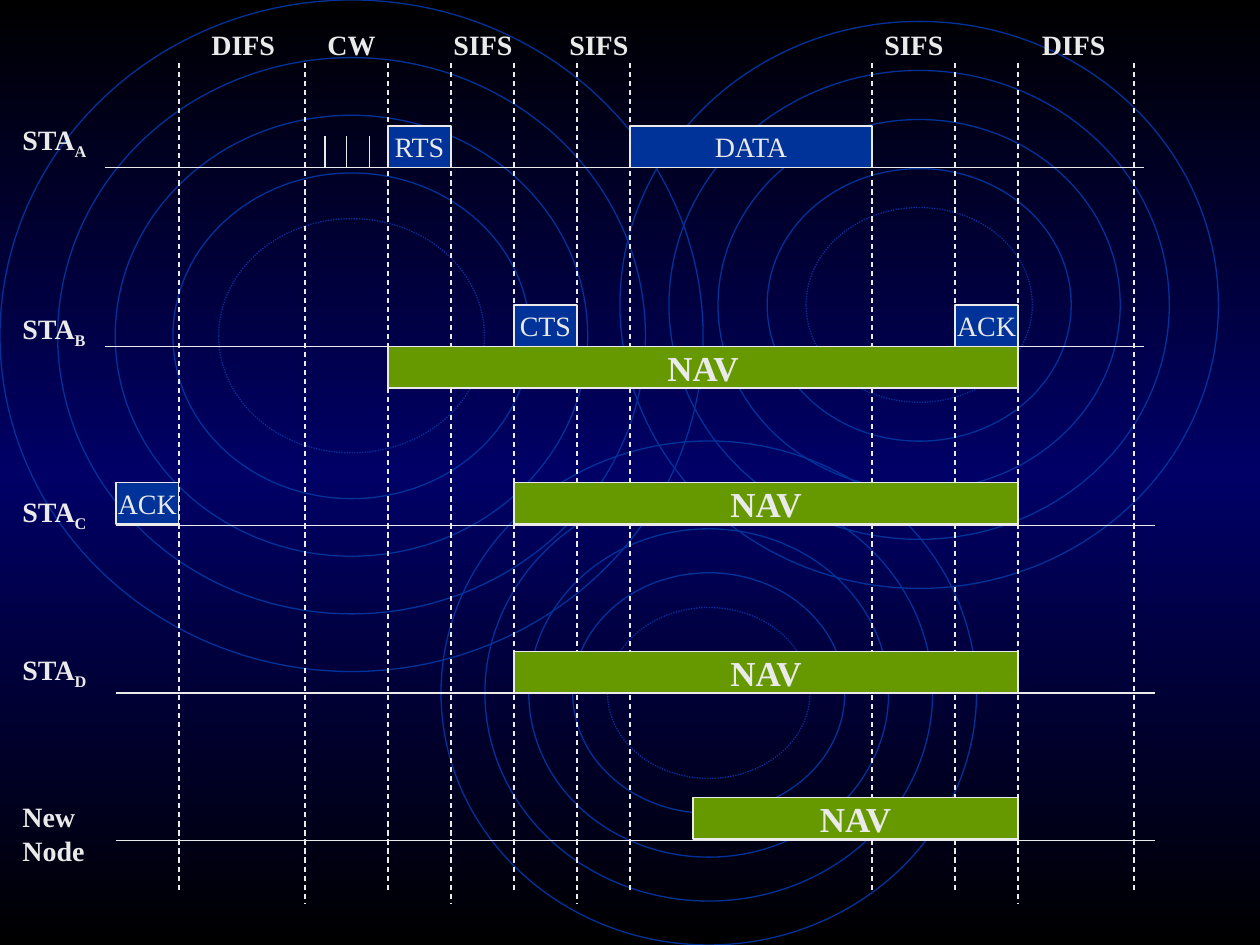
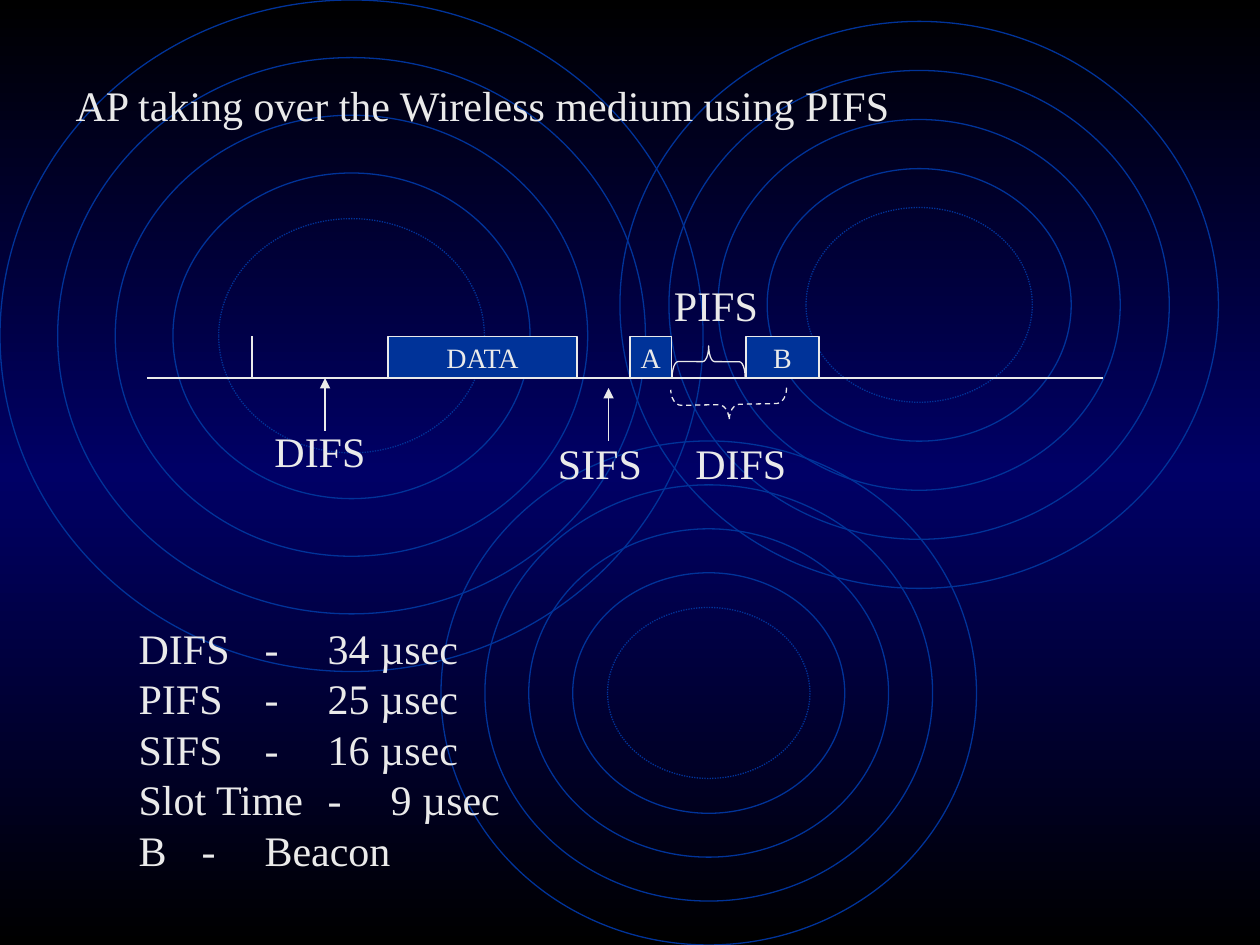
import copy

import pptx
import pptx.dml.color
import pptx.enum.dml
import pptx.enum.shapes
import pptx.enum.text
import pptx.oxml.ns
import pptx.util
from lxml import etree

RGBColor = pptx.dml.color.RGBColor
Inches = pptx.util.Inches
Pt = pptx.util.Pt
qn = pptx.oxml.ns.qn
SHAPE = pptx.enum.shapes.MSO_SHAPE
DASH = pptx.enum.dml.MSO_LINE.DASH
DOTS = pptx.enum.dml.MSO_LINE.ROUND_DOT
ALIGN = pptx.enum.text.PP_ALIGN
ANCHOR = pptx.enum.text.MSO_ANCHOR

BLACK = RGBColor(0x00, 0x00, 0x00)
NAVY = RGBColor(0x00, 0x00, 0x66)
BLUE = RGBColor(0x00, 0x33, 0x99)
GREEN = RGBColor(0x66, 0x99, 0x00)
PALE = RGBColor(0xEA, 0xEA, 0xEA)

FRAME_TEXT = {"name": "Times New Roman", "size": Pt(16), "bold": False}
LABEL_TEXT = {"name": "Times New Roman", "size": Pt(16), "bold": True}
NAV_TEXT = {"name": "Times New Roman", "size": Pt(20), "bold": True}
LARGE_TEXT = {"name": "Times New Roman", "size": Pt(24), "bold": False}

BACKGROUND_STOPS = [(0, BLACK), (0.5, NAVY), (1, BLACK)]
RING_SETS = [(0, 0, 5.58, 5.33), (3.5, 3.5, 4.25, 4), (4.92, 0.17, 4.75, 4.5)]
RING_INSETS = [0, 0.082, 0.164, 0.246, 0.311]

FRAME_HEIGHT = 0.33
STATIONS = [
    ("STA", "A", 0.92, 0.83, 1.33),
    ("STA", "B", 2.42, 0.83, 2.75),
    ("STA", "C", 3.88, 0.92, 4.17),
    ("STA", "D", 5.13, 0.92, 5.5),
    ("New Node", "", 6.3, 0.92, 6.67),
]
BASELINE_LENGTH = 8.25
INTERVALS = [("DIFS", 1.58), ("CW", 2.5), ("SIFS", 3.5), ("SIFS", 4.42),
             ("SIFS", 6.92), ("DIFS", 8.17)]
INSTANTS = [1.42, 2.42, 3.08, 3.58, 4.08, 4.58, 5, 6.92, 7.58, 8.08, 9]
LONG_INSTANTS = [2.42, 3.58, 4.58, 8.08]
BACKOFF_SLOTS = [2.58, 2.75, 2.93]
FRAMES = [("RTS", 3.08, 3.58, 1), ("CTS", 4.08, 4.58, 2.42),
          ("DATA", 5, 6.92, 1), ("ACK", 7.58, 8.08, 2.42),
          ("ACK", 0.92, 1.42, 3.83)]
NAV_END = 8.08
NAV_PERIODS = [(4.08, 3.83), (4.08, 5.17), (3.08, 2.75), (5.5, 6.33)]

TITLE = "AP taking over the Wireless medium using PIFS"
MEDIUM_TOP, MEDIUM_LINE = 2.67, 3
MEDIUM_FRAMES = [("DATA", 3.08, 4.58), ("A", 5, 5.33), ("B", 5.92, 6.5)]
SPACINGS = [("DIFS", 2.08, 3.33), ("SIFS", 4.33, 3.42),
            ("DIFS", 5.42, 3.42), ("PIFS", 5.25, 2.17)]
POINTERS = [(2.58, 3.42, 3), (4.83, 3.5, 3.08)]
BRACES = [(5.66, 2.75, 0.92, 88.9, 0.33, DASH), (5.5, 2.58, 0.58, 270.1, 0.19, None)]
DURATIONS = [
    ("DIFS", "34 µsec", 0.89, 1.58),
    ("PIFS", "25 µsec", 0.83, 1.61),
    ("SIFS", "16 µsec", 0.83, 1.61),
    ("Slot Time", "9 µsec", 1.39, 1.66),
    ("B", "Beacon", 0.89, 1.66),
]


def set_all(target, values):
    for name, value in values.items():
        setattr(target, name, value)


def add_span(para, text, style):
    span = para.add_run()
    span.text = text
    set_all(span.font, style)
    span.font.color.rgb = PALE
    return span


def set_line(shape, color, dash=None):
    shape.line.color.rgb = color
    shape.line.width = Pt(0.75)
    if dash:
        shape.line.dash_style = dash


def add_line(page, x1, y1, x2, y2, dash=None, arrow=False):
    line = page.shapes.add_connector(
        pptx.enum.shapes.MSO_CONNECTOR.STRAIGHT, *map(Inches, (x1, y1, x2, y2)))
    set_line(line, PALE, dash)
    properties = line.element.spPr
    if arrow:
        etree.SubElement(properties.find(qn("a:ln")), qn("a:tailEnd"), type="triangle")
    etree.SubElement(properties, qn("a:effectLst"))


def add_frame(page, text, start, end, top, fill=BLUE, style=FRAME_TEXT):
    box = page.shapes.add_shape(
        SHAPE.RECTANGLE, *map(Inches, (start, top, end - start, FRAME_HEIGHT)))
    box.shadow.inherit = False
    box.fill.solid()
    box.fill.fore_color.rgb = fill
    set_line(box, PALE)
    set_all(box.text_frame, {"word_wrap": False, "vertical_anchor": ANCHOR.MIDDLE})
    para = box.text_frame.paragraphs[0]
    para.alignment = ALIGN.CENTER
    add_span(para, text, style)


def add_label(page, text, left, top, width=0.75, height=0.37, style=LABEL_TEXT):
    box = page.shapes.add_textbox(*map(Inches, (left, top, width, height)))
    box.text_frame.word_wrap = True
    para = box.text_frame.paragraphs[0]
    add_span(para, text, style)
    return para


def place(placeholder, left, top, width, height):
    set_all(placeholder, {"left": Inches(left), "top": Inches(top),
                          "width": Inches(width), "height": Inches(height)})
    set_all(placeholder.text_frame, {
        "word_wrap": True, "vertical_anchor": ANCHOR.TOP,
        "auto_size": pptx.enum.text.MSO_AUTO_SIZE.NONE})
    return placeholder.text_frame


def style_master(master, page):
    fill = master.background.fill
    fill.gradient()
    stop_list = master.element.find(".//" + qn("a:gsLst"))
    stop_list.append(copy.deepcopy(stop_list[0]))
    for stop, (position, color) in zip(fill.gradient_stops, BACKGROUND_STOPS):
        stop.position = position
        stop.color.rgb = color
    fill.gradient_angle = 270

    rings = page.shapes.add_group_shape()
    for left, top, width, height in RING_SETS:
        for ratio in RING_INSETS:
            inset = width * ratio
            ring = rings.shapes.add_shape(SHAPE.OVAL, *map(Inches, (
                left + inset, top + inset, width - 2 * inset, height - 2 * inset)))
            ring.shadow.inherit = False
            ring.fill.background()
            set_line(ring, BLUE, DOTS if ratio == RING_INSETS[-1] else None)
    for number, item in enumerate(rings.element.iter(qn("p:cNvPr")), 100):
        item.set("id", str(number))
    master.shapes.element.insert(2, rings.element)


def build_timeline(page):
    for name, subscript, label_top, start, y in STATIONS:
        add_line(page, start, y, start + BASELINE_LENGTH, y)
        para = add_label(page, name, 0.08, label_top)
        if subscript:
            span = add_span(para, subscript, LABEL_TEXT)
            span.font._element.set("baseline", "-25000")
    for frame in FRAMES:
        add_frame(page, *frame)
    for x in INSTANTS:
        add_line(page, x, 0.5, x, 7.17 if x in LONG_INSTANTS else 7.08, DASH)
    for x in BACKOFF_SLOTS:
        add_line(page, x, 1.33, x, 1.08)
    for start, top in NAV_PERIODS:
        add_frame(page, "NAV", start, NAV_END, top, GREEN, NAV_TEXT)
    for name, left in INTERVALS:
        add_label(page, name, left, 0.17)


def build_takeover(page):
    para = place(page.shapes.title, 0.5, 0.58, 7.5, 0.5).paragraphs[0]
    para.alignment = ALIGN.LEFT
    add_span(para, TITLE, LARGE_TEXT)

    for text, start, end in MEDIUM_FRAMES:
        add_frame(page, text, start, end, MEDIUM_TOP)
    add_line(page, 2, MEDIUM_LINE, 2, MEDIUM_TOP)
    add_line(page, 1.17, MEDIUM_LINE, 8.75, MEDIUM_LINE)
    for x, bottom, top in POINTERS:
        add_line(page, x, bottom, x, top, arrow=True)
    for text, left, top in SPACINGS:
        add_label(page, text, left, top, 1.17, 0.5, LARGE_TEXT)
    for left, top, length, angle, curve, dash in BRACES:
        brace = page.shapes.add_shape(
            SHAPE.RIGHT_BRACE, *map(Inches, (left, top, 0.25, length)))
        brace.shadow.inherit = False
        brace.rotation = angle
        brace.adjustments[0] = curve
        brace.fill.background()
        set_line(brace, PALE, dash)

    frame = place(page.placeholders[1], 1, 4.89, 5, 2.1)
    for index, (term, value, dash_stop, value_stop) in enumerate(DURATIONS):
        para = frame.add_paragraph() if index else frame.paragraphs[0]
        para.space_before = Pt(0)
        properties = para._p.get_or_add_pPr()
        properties.set("marL", "0")
        properties.set("indent", "0")
        etree.SubElement(properties, qn("a:buNone"))
        tabs = etree.SubElement(properties, qn("a:tabLst"))
        for stop in (dash_stop, value_stop):
            etree.SubElement(tabs, qn("a:tab"), pos=str(Inches(stop)), algn="l")
        add_span(para, f"{term}\t-\t{value}", LARGE_TEXT)


def main():
    deck = pptx.Presentation()
    deck.slide_width, deck.slide_height = Inches(10), Inches(7.5)
    timeline = deck.slides.add_slide(deck.slide_layouts[6])
    style_master(deck.slide_master, timeline)
    build_timeline(timeline)
    build_takeover(deck.slides.add_slide(deck.slide_layouts[1]))
    deck.save("out.pptx")


if __name__ == "__main__":
    main()
